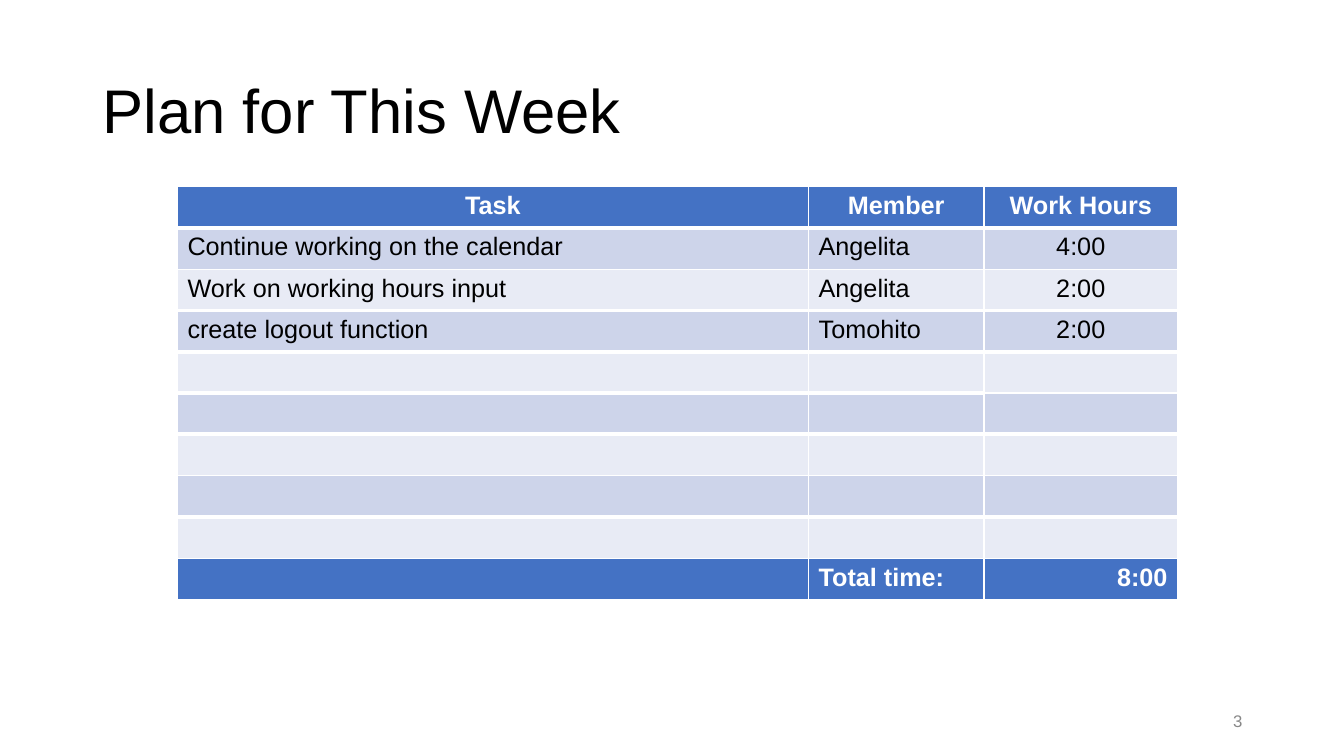
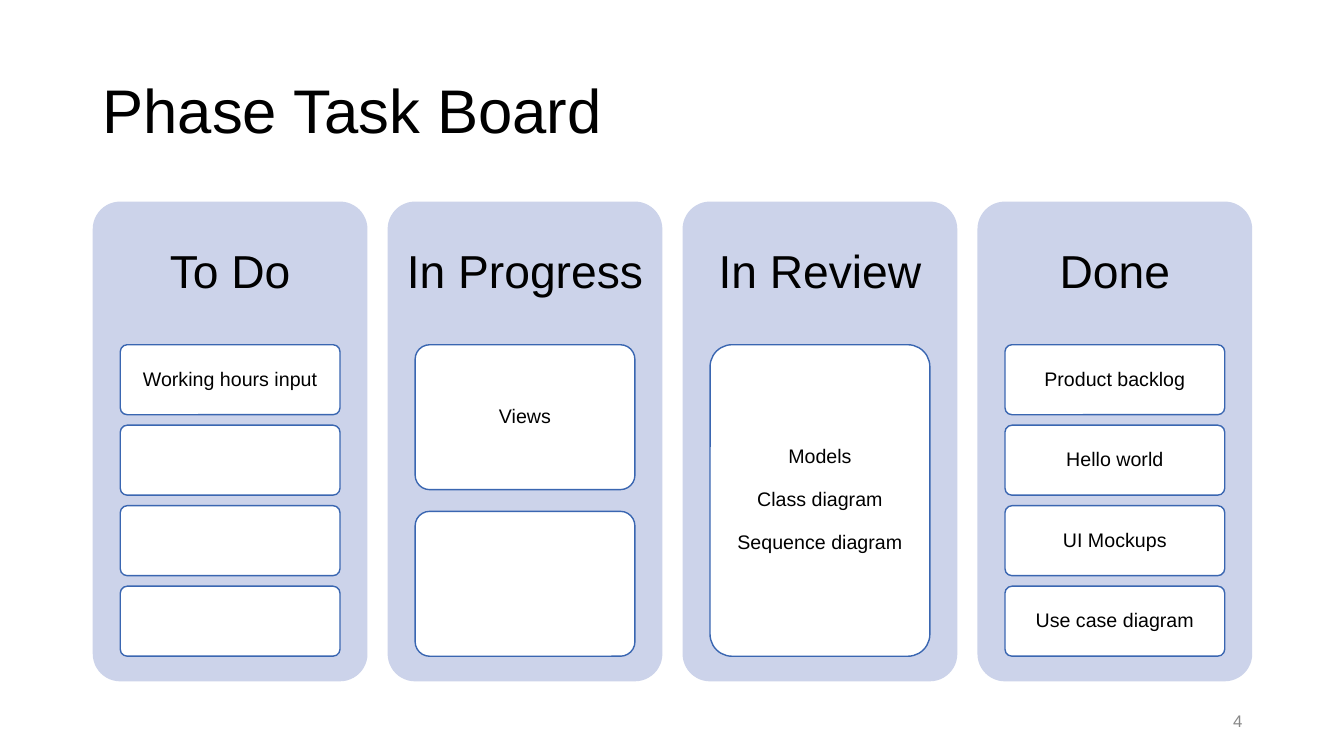
from pptx import Presentation
from pptx.dml.color import RGBColor
from pptx.enum.shapes import MSO_SHAPE
from pptx.enum.text import MSO_ANCHOR, PP_ALIGN
from pptx.oxml.ns import qn
from pptx.util import Inches, Pt
from lxml import etree

LEFT, CENTER, RIGHT = PP_ALIGN.LEFT, PP_ALIGN.CENTER, PP_ALIGN.RIGHT
MIDDLE = MSO_ANCHOR.MIDDLE
ROUNDED = MSO_SHAPE.ROUNDED_RECTANGLE

COLORS = {
    "black": "000000", "white": "FFFFFF", "gray": "888888",
    "blue": "4472C4", "band dark": "CDD4EA", "band light": "E8EBF5",
    "panel": "CCD3EA", "card line": "3A66B1",
}

# Text styles: font settings, paragraph settings and box margins
STYLES = {
    "title": {"size": 44, "color": "black", "align": LEFT, "spacing": 0.9, "margins": (0.1, 0.05)},
    "number": {"size": 12, "color": "gray", "align": RIGHT, "spacing": 1.0, "margins": (0.1, 0.05)},
    "heading": {"size": 33, "color": "black", "align": CENTER, "spacing": 0.9, "margins": (0.14, 0.14)},
    "card": {"size": 14, "color": "black", "align": CENTER, "spacing": 0.9, "margins": (0.04, 0.03)},
}

# Content
PLAN_TITLE = "Plan for This Week"
PLAN_HEADER = ("Task", "Member", "Work Hours")
PLAN_TASKS = [
    ("Continue working on the calendar", "Angelita", "4:00"),
    ("Work on working hours input", "Angelita", "2:00"),
    ("create logout function", "Tomohito", "2:00"),
]
PLAN_EMPTY_ROWS = 5
PLAN_TOTAL = ("", "Total time:", "8:00")

BOARD_TITLE = "Phase Task Board"
# Each card is a list of lines
BOARD = [
    ("To Do", [["Working hours input"], [], [], []]),
    ("In Progress", [["Views"], []]),
    ("In Review", [["Models", "Class diagram", "Sequence diagram"]]),
    ("Done", [["Product backlog"], ["Hello world"], ["UI Mockups"], ["Use case diagram"]]),
]

# Layout in inches
MARGIN, CONTENT_WIDTH = 0.92, 11.5
TABLE_LEFT, TABLE_TOP, ROW_HEIGHT = 1.76, 1.85, 0.41
COLUMN_WIDTHS = (6.26, 1.74, 1.92)
THIN, THICK = 1, 3
RULES_BELOW = (THICK, THIN, THICK, THICK, THICK, THICK, THIN, THICK, THIN, THIN)
THIN_RULE_CELL = (4, 2)
PANEL_TOP, PANEL_HEIGHT, PANEL_GAP = 2.0, 4.76, 0.2
HEADING_HEIGHT = 1.43
CARDS_TOP, CARDS_HEIGHT = 3.42, 3.09
CARD_WIDTH_SHARE, CARD_GAP_SHARE = 0.8, 0.15
CARD_LINE_SPACE = 15.5


def rgb(name):
    return RGBColor.from_string(COLORS[name])


def format_font(font, size, color, bold=False):
    values = {"name": "Arial", "size": Pt(size), "bold": bold}
    for key, value in values.items():
        setattr(font, key, value)
    font.color.rgb = rgb(color)


def write(box, lines, style_name, space=0):
    style = STYLES[style_name]
    side, top = map(Inches, style["margins"])
    frame = box.text_frame
    settings = {"word_wrap": True, "vertical_anchor": MIDDLE, "margin_left": side,
                "margin_right": side, "margin_top": top, "margin_bottom": top}
    for key, value in settings.items():
        setattr(frame, key, value)
    for index, line in enumerate(lines):
        para = frame.add_paragraph() if index else frame.paragraphs[0]
        para.alignment, para.line_spacing = style["align"], style["spacing"]
        para.space_before = Pt(space if index else 0)
        span = para.add_run()
        span.text = line
        format_font(span.font, style["size"], style["color"])


def add_text(page, place, text, style_name):
    write(page.shapes.add_textbox(*map(Inches, place)), [text], style_name)


def add_rounded(page, place, fill, line=None):
    shape = page.shapes.add_shape(ROUNDED, *map(Inches, place))
    shape.shadow.inherit = False
    shape.adjustments[0] = 0.1
    shape.fill.solid()
    shape.fill.fore_color.rgb = rgb(fill)
    if line:
        shape.line.color.rgb = rgb(line)
        shape.line.width = Pt(1)
    else:
        shape.line.fill.background()
    return shape


def add_page(deck, title, number):
    page = deck.slides.add_slide(deck.slide_layouts[6])
    add_text(page, (MARGIN, 0.4, CONTENT_WIDTH, 1.45), title, "title")
    add_text(page, (9.42, 6.95, 3, 0.4), number, "number")
    return page


def set_borders(cell, above, below):
    properties = cell._tc.get_or_add_tcPr()
    for side, width in (("lnL", THIN), ("lnR", THIN), ("lnT", above), ("lnB", below)):
        line = etree.SubElement(properties, qn("a:" + side), w=str(Pt(width)))
        fill = etree.SubElement(line, qn("a:solidFill"))
        etree.SubElement(fill, qn("a:srgbClr"), val=COLORS["white"])


def rule_below(row, column):
    return THIN if (row, column) == THIN_RULE_CELL else RULES_BELOW[row]


def fill_cell(cell, text, fill, align, strong):
    cell.fill.solid()
    cell.fill.fore_color.rgb = rgb(fill)
    para = cell.text_frame.paragraphs[0]
    para.alignment = align
    if text:
        span = para.add_run()
        span.text = text
        format_font(span.font, 18, "white" if strong else "black", strong)


def add_plan(page):
    rows = [PLAN_HEADER, *PLAN_TASKS, *[("", "", "")] * PLAN_EMPTY_ROWS, PLAN_TOTAL]
    last = len(rows) - 1
    place = (TABLE_LEFT, TABLE_TOP, sum(COLUMN_WIDTHS), ROW_HEIGHT * len(rows))
    table = page.shapes.add_table(len(rows), len(COLUMN_WIDTHS), *map(Inches, place)).table
    table.first_row = table.horz_banding = False
    for column, width in zip(table.columns, COLUMN_WIDTHS):
        column.width = Inches(width)
    for row, texts in enumerate(rows):
        strong = row in (0, last)
        fill = "blue" if strong else ("band light", "band dark")[row % 2]
        aligns = {0: (CENTER,) * 3, last: (LEFT, LEFT, RIGHT)}.get(row, (LEFT, LEFT, CENTER))
        for column, text in enumerate(texts):
            cell = table.cell(row, column)
            above = rule_below(row - 1, column) if row else THIN
            set_borders(cell, above, rule_below(row, column))
            fill_cell(cell, text, fill, aligns[column], strong)


def add_board(page):
    width = (CONTENT_WIDTH - PANEL_GAP * (len(BOARD) - 1)) / len(BOARD)
    card_width = width * CARD_WIDTH_SHARE
    for index, (heading, cards) in enumerate(BOARD):
        left = MARGIN + index * (width + PANEL_GAP)
        add_rounded(page, (left, PANEL_TOP, width, PANEL_HEIGHT), "panel")
        add_text(page, (left, PANEL_TOP, width, HEADING_HEIGHT), heading, "heading")
        # Cards share the height; the gap is a fixed share of a card
        height = CARDS_HEIGHT / (len(cards) + (len(cards) - 1) * CARD_GAP_SHARE)
        card_left = left + (width - card_width) / 2
        for position, lines in enumerate(cards):
            top = CARDS_TOP + position * height * (1 + CARD_GAP_SHARE)
            card = add_rounded(page, (card_left, top, card_width, height), "white", "card line")
            write(card, lines, "card", CARD_LINE_SPACE)


deck = Presentation()
deck.slide_width, deck.slide_height = Inches(13.33), Inches(7.5)
add_plan(add_page(deck, PLAN_TITLE, "3"))
add_board(add_page(deck, BOARD_TITLE, "4"))
deck.save("out.pptx")
